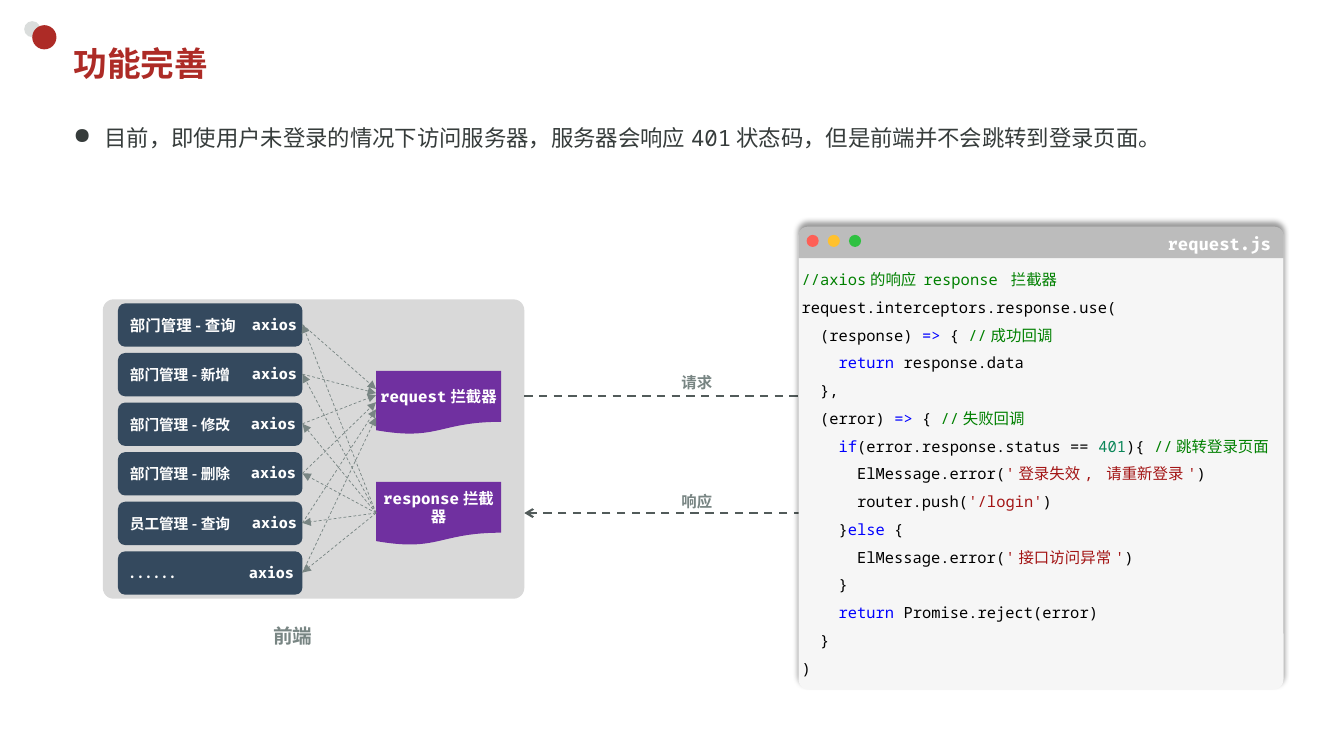
from dataclasses import dataclass
from typing import Optional

import pptx
import pptx.dml.color
import pptx.enum.dml
import pptx.enum.shapes
import pptx.enum.text
import pptx.oxml
import pptx.oxml.ns
import pptx.util

Inches = pptx.util.Inches
Pt = pptx.util.Pt
RGBColor = pptx.dml.color.RGBColor
Shape = pptx.enum.shapes.MSO_SHAPE
Align = pptx.enum.text.PP_ALIGN
Anchor = pptx.enum.text.MSO_ANCHOR

WHITE = RGBColor(0xFF, 0xFF, 0xFF)
BLACK = RGBColor(0x00, 0x00, 0x00)
RED = RGBColor(0xAD, 0x2B, 0x26)
PALE_GREY = RGBColor(0xDA, 0xDD, 0xDC)
INK = RGBColor(0x36, 0x3C, 0x3B)
PANEL_GREY = RGBColor(0xD9, 0xD9, 0xD9)
NAVY = RGBColor(0x34, 0x49, 0x5E)
PURPLE = RGBColor(0x70, 0x30, 0xA0)
GREY = RGBColor(0x78, 0x85, 0x83)
DARK_GREY = RGBColor(0x52, 0x5B, 0x5A)
EDITOR = RGBColor(0xF6, 0xF6, 0xF6)
EDITOR_BAR = RGBColor(0xBC, 0xBC, 0xBC)
COMMENT = RGBColor(0x00, 0x80, 0x00)
KEYWORD = RGBColor(0x00, 0x00, 0xFF)
NUMBER = RGBColor(0x09, 0x86, 0x58)
STRING = RGBColor(0xA3, 0x15, 0x15)
WINDOW_BUTTONS = (RGBColor(0xFE, 0x5F, 0x56), RGBColor(0xFF, 0xC1, 0x2E), RGBColor(0x2F, 0xC1, 0x41))

CJK, MONO, FIRA = "Noto Sans CJK JP", "Noto Sans Mono", "Fira Code"
LINE_HEIGHT = 1.8  # one and a half lines of 1.2 em


@dataclass(frozen=True)
class Style:
    font: str
    size: float
    color: RGBColor
    bold: bool = True


@dataclass(frozen=True)
class Box:
    left: float
    top: float
    width: float
    height: float

    def lengths(self) -> list:
        return [Inches(v) for v in (self.left, self.top, self.width, self.height)]


@dataclass(frozen=True)
class Request:
    page: str
    size: float
    axios_left: float
    arrow_end: float


@dataclass(frozen=True)
class Exchange:
    name: str
    y: float
    start: float
    end: float
    label_top: float


REQUESTS = (
    Request("部门管理-查询", 11, 2.5, 3.86),
    Request("部门管理-新增", 10.5, 2.5, 3.9),
    Request("部门管理-修改", 10.5, 2.49, 3.92),
    Request("部门管理-删除", 10.5, 2.49, 3.99),
    Request("员工管理-查询", 10.5, 2.5, 4.06),
    Request(". . . . . .", 10.5, 2.47, 4.14),
)
EXCHANGES = (Exchange("请求", 3.93, 5.2, 8.86, 3.65), Exchange("响应", 5.09, 8.83, 5.2, 4.83))
CODE = (
    (("//axios的响应 response 拦截器", COMMENT),),
    (("request.interceptors.response.use(", BLACK),),
    (("  (response) ", BLACK), ("=>", KEYWORD), (" { ", BLACK), ("//成功回调", COMMENT)),
    (("    ", BLACK), ("return", KEYWORD), (" response.data", BLACK)),
    (("  },", BLACK),),
    (("  (error) ", BLACK), ("=>", KEYWORD), (" { ", BLACK), ("//失败回调", COMMENT)),
    (("    ", BLACK), ("if", KEYWORD), ("(error.response.status == ", BLACK), ("401", NUMBER),
     ("){ ", BLACK), ("//跳转登录页面", COMMENT)),
    (("      ElMessage.error(", BLACK), ("'登录失效, 请重新登录'", STRING), (")", BLACK)),
    (("      router.push(", BLACK), ("'/login'", STRING), (")", BLACK)),
    (("    }", BLACK), ("else", KEYWORD), (" {", BLACK)),
    (("      ElMessage.error(", BLACK), ("'接口访问异常'", STRING), (")", BLACK)),
    (("    }", BLACK),),
    (("    ", BLACK), ("return", KEYWORD), (" Promise.reject(error)", BLACK)),
    (("  }", BLACK),),
    ((")", BLACK),),
)


def xml(tag: str, body: str = ""):
    """Make one DrawingML element from its tag with attributes and its content."""
    name = tag.split()[0]
    return pptx.oxml.parse_xml(f"<a:{tag} {pptx.oxml.ns.nsdecls('a')}>{body}</a:{name}>")


def format_run(run, style: Style) -> None:
    run.font.name, run.font.size, run.font.bold = style.font, Pt(style.size), style.bold
    run.font.color.rgb = style.color
    run.font._element.append(xml(f'ea typeface="{CJK}"'))


def write(frame, text: str, style: Style, align=Align.LEFT, anchor=Anchor.MIDDLE,
          side: float = 0.1, wrap: bool = True) -> None:
    frame.text = text
    frame.word_wrap, frame.vertical_anchor = wrap, anchor
    frame.margin_left = frame.margin_right = Inches(side)
    frame.margin_top = frame.margin_bottom = Inches(0.05)
    frame.paragraphs[0].alignment = align
    format_run(frame.paragraphs[0].runs[0], style)


def add_block(shapes, kind, box: Box, color: RGBColor, adjustments: tuple = ()):
    block = shapes.add_shape(kind, *box.lengths())
    block.shadow.inherit = False
    block.fill.solid()
    block.fill.fore_color.rgb = color
    block.line.fill.background()
    for index, value in enumerate(adjustments):
        block.adjustments[index] = value
    return block


def add_label(shapes, box: Box, text: str, style: Style, side: float = 0.1) -> None:
    label = shapes.add_textbox(*box.lengths())
    write(label.text_frame, text, style, anchor=Anchor.TOP, side=side, wrap=False)


def add_arrow(shapes, start: tuple, end: tuple, color: RGBColor, width: float, head: str) -> None:
    arrow = shapes.add_connector(pptx.enum.shapes.MSO_CONNECTOR.STRAIGHT,
                                 *[Inches(v) for v in (*start, *end)])
    arrow.line.color.rgb = color
    arrow.line.width = Pt(width)
    arrow.line.dash_style = pptx.enum.dml.MSO_LINE.DASH
    arrow.line._get_or_add_ln().append(xml(f'tailEnd type="{head}"'))
    arrow._element.spPr.append(xml("effectLst"))


def add_heading(slide) -> None:
    add_block(slide.shapes, Shape.OVAL, Box(0.24, 0.21, 0.16, 0.16), PALE_GREY)
    add_block(slide.shapes, Shape.OVAL, Box(0.32, 0.25, 0.24, 0.24), RED)
    title = slide.shapes.title
    title.left, title.top, title.width, title.height = Box(0.63, 0.37, 11.75, 0.52).lengths()
    write(title.text_frame, "功能完善", Style(MONO, 24, RED))

    problem = slide.shapes.add_textbox(*Box(0.63, 1.05, 12.1, 0.52).lengths())
    write(problem.text_frame,
          "目前，即使用户未登录的情况下访问服务器，服务器会响应401状态码，但是前端并不会跳转到登录页面。",
          Style(MONO, 16, INK, False), anchor=Anchor.TOP)
    paragraph = problem.text_frame.paragraphs[0]
    paragraph.line_spacing = Pt(16 * LINE_HEIGHT)
    properties = paragraph._p.get_or_add_pPr()
    properties.set("marL", str(Inches(0.31)))
    properties.set("indent", str(-Inches(0.31)))
    properties.append(xml('buChar char="●"'))


def add_frontend(shapes) -> None:
    add_block(shapes, Shape.ROUNDED_RECTANGLE, Box(1.02, 2.97, 4.18, 2.97), PANEL_GREY, (0.036,))
    for index, request in enumerate(REQUESTS):
        top = 3.01 + 0.492 * index
        page = add_block(shapes, Shape.ROUNDED_RECTANGLE, Box(1.17, top, 1.83, 0.43), NAVY)
        write(page.text_frame, request.page, Style(CJK, request.size, WHITE))
        add_label(shapes, Box(request.axios_left, top + 0.07, 0.45, 0.28), "axios",
                  Style(FIRA, 10.5, WHITE), side=0)
    for name, top in (("request拦截器", 3.68), ("response拦截器", 4.78)):
        interceptor = add_block(shapes, Shape.FLOWCHART_DOCUMENT, Box(3.73, top, 1.24, 0.63), PURPLE)
        write(interceptor.text_frame, name, Style(FIRA, 11, WHITE), Align.CENTER, side=0)
    for index, request in enumerate(REQUESTS):
        page_side = (3, 3.22 + 0.492 * index)
        add_arrow(shapes, page_side, (3.73, request.arrow_end), GREY, 0.5, "triangle")
        add_arrow(shapes, (3.73, 5.09), page_side, GREY, 0.5, "triangle")
    add_label(shapes, Box(2.61, 6.14, 0.61, 0.34), "前端", Style(CJK, 14, GREY))


def add_exchange(shapes, exchange: Exchange) -> None:
    add_arrow(shapes, (exchange.start, exchange.y), (exchange.end, exchange.y), DARK_GREY, 1.5, "arrow")
    add_label(shapes, Box(6.66, exchange.label_top, 0.52, 0.29), exchange.name, Style(CJK, 11, GREY))


def add_editor(shapes) -> None:
    editor = add_block(shapes, Shape.ROUNDED_RECTANGLE, Box(7.92, 2.25, 4.81, 4.59), EDITOR, (0.022,))
    editor._element.spPr.find(pptx.oxml.ns.qn("a:effectLst")).append(xml(
        f'outerShdw blurRad="{Pt(4)}" dist="{Pt(3)}" dir="16200000" rotWithShape="0"',
        '<a:srgbClr val="000000"><a:alpha val="40000"/></a:srgbClr>'))
    frame = editor.text_frame
    frame.word_wrap, frame.vertical_anchor = True, Anchor.TOP
    frame.margin_left = frame.margin_right = frame.margin_bottom = 0
    frame.margin_top = Inches(0.31)
    for index, line in enumerate(CODE):
        paragraph = frame.add_paragraph() if index else frame.paragraphs[0]
        paragraph.alignment = Align.LEFT
        paragraph.line_spacing = Pt(11 * LINE_HEIGHT)
        for text, color in line:
            run = paragraph.add_run()
            run.text = text
            format_run(run, Style(MONO, 11, color, False))

    bar = add_block(shapes, Shape.ROUND_2_SAME_RECTANGLE, Box(7.92, 2.25, 4.81, 0.31), EDITOR_BAR, (0.269, 0))
    write(bar.text_frame, "request.js", Style(FIRA, 12, WHITE), Align.RIGHT)
    for index, color in enumerate(WINDOW_BUTTONS):
        add_block(shapes, Shape.OVAL, Box(8 + 0.21 * index, 2.33, 0.12, 0.12), color)


def main() -> None:
    deck = pptx.Presentation()
    deck.slide_width, deck.slide_height = Inches(13.33), Inches(7.5)
    slide = deck.slides.add_slide(deck.slide_layouts[5])
    add_heading(slide)
    add_frontend(slide.shapes)
    for exchange in EXCHANGES:
        add_exchange(slide.shapes.add_group_shape().shapes, exchange)
    add_editor(slide.shapes.add_group_shape().shapes)
    deck.save("out.pptx")


if __name__ == "__main__":
    main()
